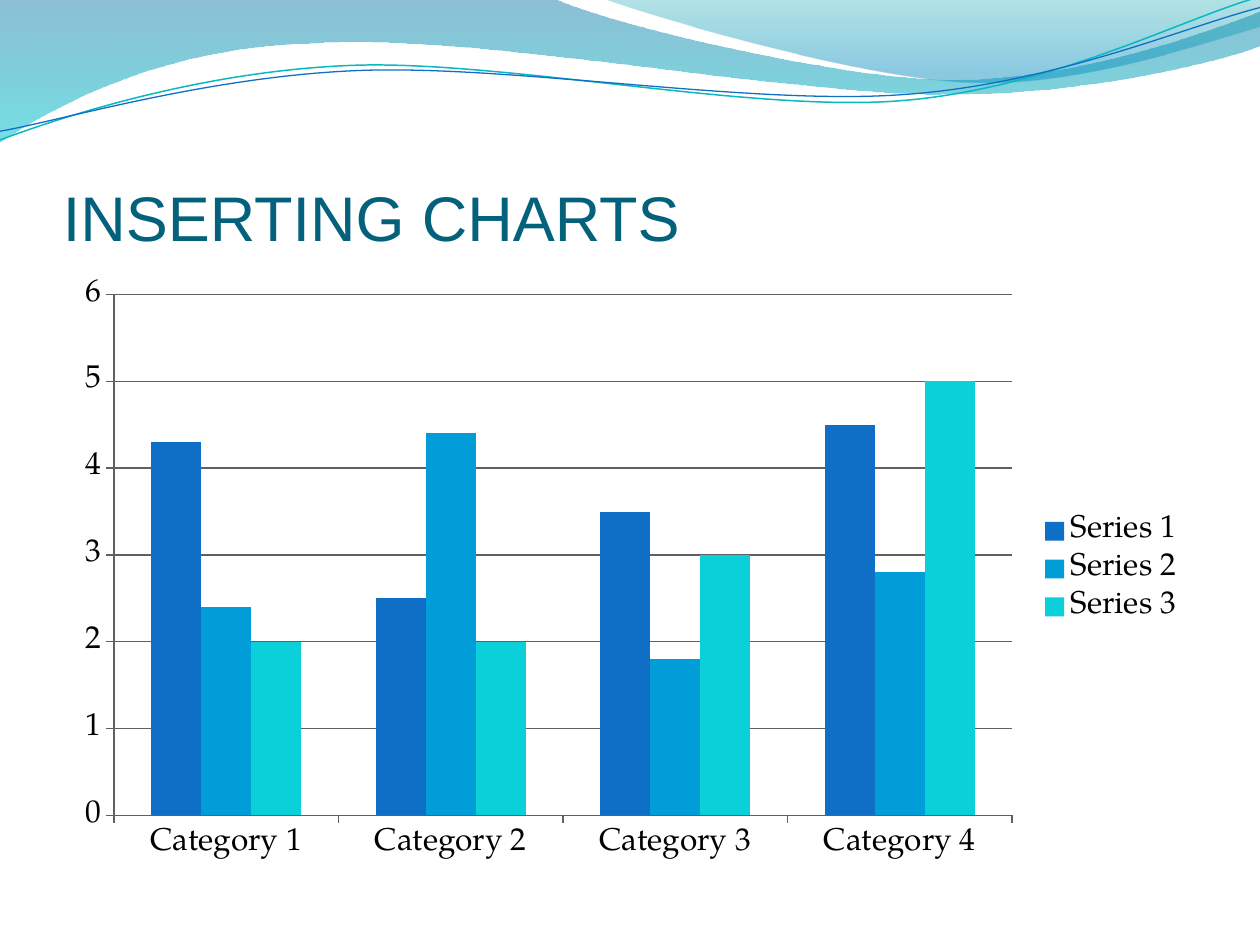
from dataclasses import dataclass
from lxml.etree import SubElement
from pptx import Presentation
from pptx.chart.data import CategoryChartData as ChartData
from pptx.dml.color import RGBColor as Rgb
from pptx.enum.chart import XL_CHART_TYPE as Kind, XL_LEGEND_POSITION as Side
from pptx.enum.chart import XL_TICK_MARK as Tick
from pptx.enum.text import MSO_ANCHOR as Anchor
from pptx.oxml.ns import qn
from pptx.util import Pt


@dataclass(frozen=True)
class Theme:
    title: str = "04617B"
    text: str = "000000"
    rule: str = "606060"
    bars: tuple = ("0F6FC6", "009DD9", "0BD0D9")
    head: str = "Arial"
    body: str = "TeX Gyre Pagella"
    big: int = 36
    mid: int = 18


THEME = Theme()

FILLS = [
    ((-0.7, -0.7, 721.4, 82.1),
     [(0, 0), (316.8, -0.7),
      (342.7, 12.2, 478.1, 45.4, 545.8, 45.4),
      (614.2, 45.4, 689.8, 18.7, 720, 6.5),
      (720.7, 25.9),
      (707.8, 31.7, 626.4, 54.7, 537.1, 54),
      (447.8, 54, 275, 20.2, 185, 24.5),
      (92.9, 25.9, 33.1, 59.8, -0.7, 81.4),
      (0, 0)],
     [(0, "0074A1", 45), (1, "00C6CF", 55)]),
    ((344.9, -0.7, 375.1, 50.4),
     [(344.9, -0.7),
      (366.5, 7.9, 491, 44.6, 553.7, 46.8),
      (616.3, 49.7, 691.9, 23, 720, 15.1),
      (720, 0), (344.9, -0.7)],
     [(0, "00A1A9", 30), (0.8, "008BBF", 45)]),
]
TILT = 357.3
LINES = [
    ((-1.4, 15.8, 721.4, 51.1),
     [(-1.4, 63),
      (33.8, 51.7, 114.1, 29.4, 199.8, 29.9),
      (284.9, 30.3, 425.8, 67.3, 512.4, 64.9),
      (599, 62.4, 676.4, 25.7, 720.2, 15.5)], "0AB8BF", 0.85),
    ((-1.4, 21.6, 722.2, 41.8),
     [(-1.1, 58),
      (32.9, 53.8, 118.3, 32.5, 204.1, 33),
      (290.6, 33.4, 428.9, 63.8, 515.5, 61.4),
      (601.3, 59.6, 678.5, 30.1, 721.4, 21.3)], "0F6FC6", 0.75),
]


def color(code):
    return Rgb.from_string(code)


def add_curve(slide, left, top, box, steps, close):
    x, y, width, height = box
    ends = [(Pt(step[-2]), Pt(step[-1])) for step in steps]
    pen = slide.shapes.build_freeform(*ends[0])
    pen.add_line_segments(ends[1:], close=False)
    shape = pen.convert_to_shape()
    shape.shadow.inherit = False
    shape.left, shape.top = Pt(left + x), Pt(top + y)
    shape.width, shape.height = Pt(width), Pt(height)
    trail = next(shape.element.spPr.iter(qn("a:path")))
    trail.clear()
    trail.set("w", str(Pt(width)))
    trail.set("h", str(Pt(height)))
    for n, step in enumerate(steps):
        name = "cubicBezTo" if len(step) == 6 else "lnTo" if n else "moveTo"
        move = SubElement(trail, qn(f"a:{name}"))
        for px, py in zip(step[::2], step[1::2]):
            SubElement(move, qn("a:pt"), x=str(Pt(px - x)), y=str(Pt(py - y)))
    if close:
        SubElement(trail, qn("a:close"))
    return shape


def add_waves(slide, left, top):
    for box, steps, stops in FILLS:
        shape = add_curve(slide, left, top, box, steps[:-1], True)
        shape.line.fill.background()
        shape.fill.gradient()
        shape.fill.gradient_angle = 270
        for stop, (place, code, alpha) in zip(shape.fill.gradient_stops, stops):
            stop.position = place
            stop.color.rgb = color(code)
        tints = shape.element.spPr.iter(qn("a:srgbClr"))
        for tint, (place, code, alpha) in zip(tints, stops):
            SubElement(tint, qn("a:alpha"), val=str(alpha * 1000))
    for box, steps, code, width in LINES:
        shape = add_curve(slide, left, top, box, steps, False)
        shape.rotation = TILT
        shape.fill.background()
        shape.line.color.rgb = color(code)
        shape.line.width = Pt(width)


def add_title(slide, left, top, width, height, text):
    box = slide.shapes.add_textbox(Pt(left), Pt(top), Pt(width), Pt(height))
    frame = box.text_frame
    frame.word_wrap = True
    frame.vertical_anchor = Anchor.BOTTOM
    frame.margin_left = frame.margin_right = frame.margin_bottom = 0
    frame.margin_top = Pt(3.6)
    frame.text = text
    font = frame.paragraphs[0].runs[0].font
    font.name = THEME.head
    font.size = Pt(THEME.big)
    font.color.rgb = color(THEME.title)


def add_bars(slide, left, top, width, height):
    data = ChartData()
    data.categories = [f"Category {n}" for n in range(1, 5)]
    rows = [(4.3, 2.5, 3.5, 4.5), (2.4, 4.4, 1.8, 2.8), (2, 2, 3, 5)]
    for n, row in enumerate(rows, 1):
        data.add_series(f"Series {n}", row)
    chart = slide.shapes.add_chart(Kind.COLUMN_CLUSTERED, Pt(left), Pt(top),
                                   Pt(width), Pt(height), data).chart
    chart.has_title = False
    chart.font.name = THEME.body
    chart.font.size = Pt(THEME.mid)
    chart.font.color.rgb = color(THEME.text)
    chart.has_legend = True
    chart.legend.position = Side.RIGHT
    chart.legend.include_in_layout = False
    plot = chart.plots[0]
    plot.gap_width = 150
    plot.vary_by_categories = False
    for bar, code in zip(plot.series, THEME.bars):
        bar.format.fill.solid()
        bar.format.fill.fore_color.rgb = color(code)
    scale = chart.value_axis
    scale.minimum_scale, scale.maximum_scale, scale.major_unit = 0, 6, 1
    scale.has_major_gridlines = True
    for axis in (chart.category_axis, scale):
        axis.major_tick_mark = Tick.OUTSIDE
    for part in (chart.category_axis, scale, scale.major_gridlines):
        part.format.line.color.rgb = color(THEME.rule)
        part.format.line.width = Pt(0.75)


def main():
    deck = Presentation()
    deck.slide_width, deck.slide_height = Pt(720), Pt(540)
    slide = deck.slides.add_slide(deck.slide_layouts[6])
    add_waves(slide, 0, 0)
    add_title(slide, 36, 55, 648, 90, "INSERTING CHARTS")
    add_bars(slide, 36, 152.4, 648, 345.6)
    deck.save("out.pptx")


if __name__ == "__main__":
    main()
